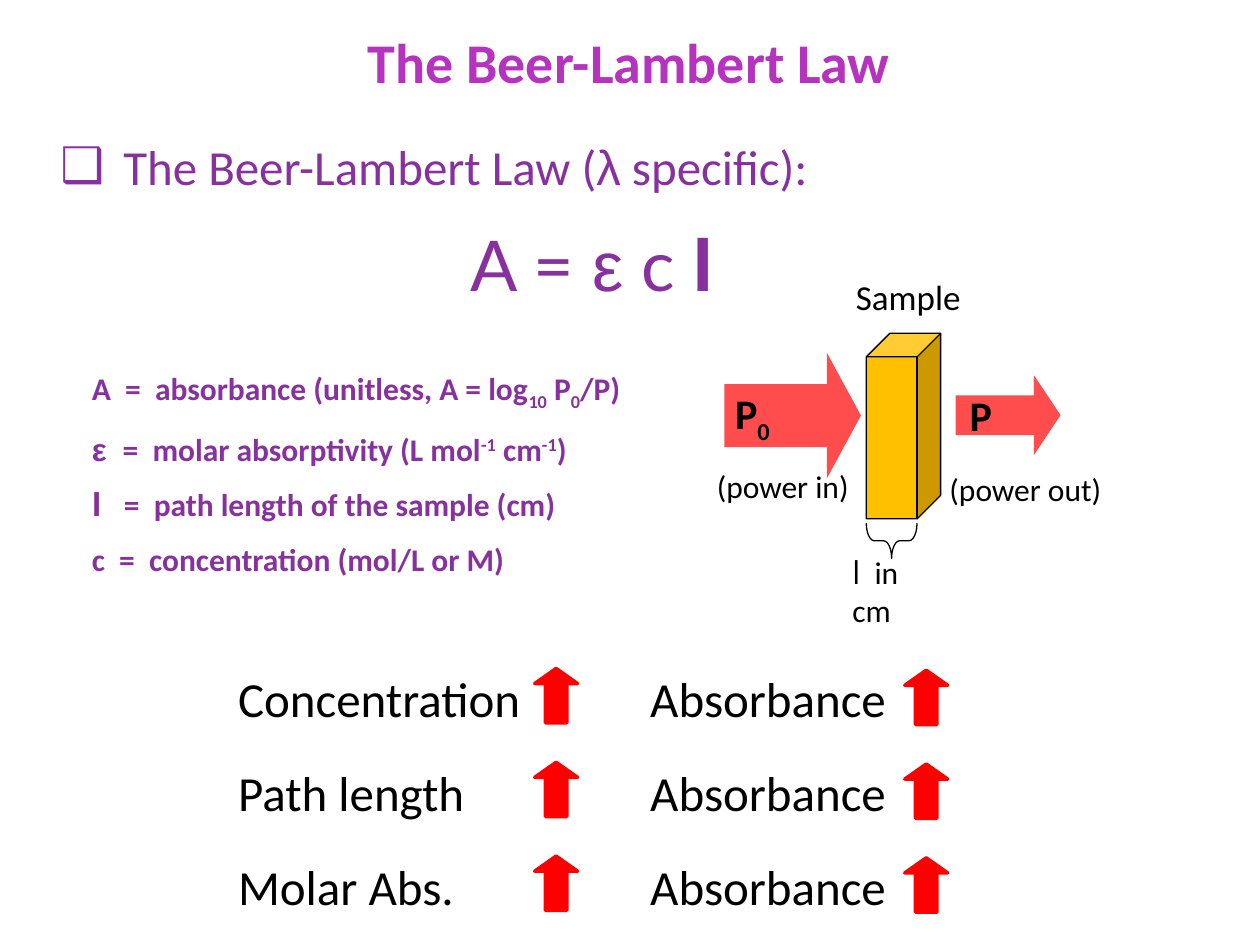
"""Build a slide that explains the Beer-Lambert law."""
from lxml import etree
from pptx import Presentation
from pptx.dml.color import RGBColor
from pptx.enum.shapes import MSO_SHAPE
from pptx.enum.text import MSO_ANCHOR, PP_ALIGN
from pptx.oxml.ns import qn
from pptx.util import Pt

LEFT, CENTER = PP_ALIGN.LEFT, PP_ALIGN.CENTER
TOP = MSO_ANCHOR.TOP
RIGHT_ARROW, DOWN_ARROW = MSO_SHAPE.RIGHT_ARROW, MSO_SHAPE.DOWN_ARROW
CUBE, LEFT_BRACE = MSO_SHAPE.CUBE, MSO_SHAPE.LEFT_BRACE
COLORS = {"title": "B533BF", "law": "87319F", "ink": "000000",
          "red": "FF0000", "sample": "FFC000"}

SUB, SUP = {"baseline": -25}, {"baseline": 30}
GREEK, SCRIPT = {"font": "Arial"}, {"font": "Open Sans"}

TITLE = "The Beer-Lambert Law"
HEADING = ["The Beer-Lambert Law (", ("λ", GREEK), " specific):"]
FORMULA = ["A = ", ("ε", GREEK), " c ", ("l ", {"font": "Open Sans", "bold": True})]
DEFINITIONS = [
    ["A  =  absorbance (unitless, A = log", ("10", SUB), " P", ("0", SUB), "/P) "],
    [("ε ", GREEK), " =  molar absorptivity (L mol", ("-1", SUP), " cm", ("-1", SUP), ")"],
    [("l ", SCRIPT), "  =  path length of the sample (cm)"],
    ["c  =  concentration (mol/L or M)"],
]
CAUSES = ["Concentration", "Path length", "Molar Abs."]
EFFECT = "Absorbance"
BEAM_LABELS = [
    ([["P", ("0", SUB)]], (413, 218, 35.5, 55.5), {"size": 24, "bold": True}),
    ([["P"]], (547, 219, 27.5, 55.5), {"size": 24, "bold": True}),
    ([["(power in)"]], (402.5, 263.5, 90.5, 29), {"size": 18}),
    ([["(power out)"]], (535.5, 265, 102.5, 29), {"size": 18}),
]
BEAM_ARROWS = [((414, 201.5, 78, 72), 0.271), ((546, 214.5, 60, 45.5), 0.333)]

prs = Presentation()
prs.slide_width, prs.slide_height = Pt(720), Pt(540)
slide = prs.slides.add_slide(prs.slide_layouts[5])


def place(part, box):
    part.left, part.top, part.width, part.height = map(Pt, box)


def write(paragraphs, box, target=None, size=18, color="ink", font="Calibri", bold=False,
          align=LEFT, wrap=True, inset=True, after=0, indent=None, bullet=None):
    """Write paragraphs made of plain or individually formatted runs."""
    target = target or slide.shapes.add_textbox(0, 0, 0, 0)
    place(target, box)
    frame = target.text_frame
    frame.word_wrap, frame.vertical_anchor = wrap, TOP
    if not inset:
        frame.margin_left = frame.margin_right = frame.margin_top = frame.margin_bottom = 0
    for index, runs in enumerate(paragraphs):
        paragraph = frame.add_paragraph() if index else frame.paragraphs[0]
        paragraph.alignment, paragraph.space_after = align, Pt(after)
        properties = paragraph._p.get_or_add_pPr()
        if indent:
            properties.set("marL", str(Pt(indent[0])))
            properties.set("indent", str(Pt(indent[1])))
        if bullet:
            etree.SubElement(properties, qn("a:buFont")).set("typeface", "Arial")
            etree.SubElement(properties, qn("a:buChar")).set("char", bullet)
        for item in runs:
            text, change = item if isinstance(item, tuple) else (item, {})
            run = paragraph.add_run()
            run.text = text
            run.font.name = change.get("font", font)
            run.font.size = Pt(size)
            run.font.bold = change.get("bold", bold)
            run.font.color.rgb = RGBColor.from_string(COLORS[color])
            if "baseline" in change:
                run._r.get_or_add_rPr().set("baseline", str(change["baseline"] * 1000))


def draw(kind, box, adjust, fill=None, line=None, weight=0, rotation=0, alpha=None):
    """Draw a preset shape."""
    part = slide.shapes.add_shape(kind, 0, 0, 0, 0)
    place(part, box)
    part.shadow.inherit = False
    part.rotation = rotation
    for index, value in enumerate(adjust):
        part.adjustments[index] = value
    if fill:
        part.fill.solid()
        part.fill.fore_color.rgb = RGBColor.from_string(COLORS[fill])
    else:
        part.fill.background()
    if line:
        part.line.color.rgb = RGBColor.from_string(COLORS[line])
        part.line.width = Pt(weight)
    else:
        part.line.fill.background()
    if alpha:
        color = part.fill._xPr.find(qn("a:solidFill"))[0]
        etree.SubElement(color, qn("a:alpha")).set("val", str(alpha * 1000))


write([[TITLE]], (201.5, 12, 316, 46), target=slide.shapes.title, size=32,
      color="title", bold=True, align=CENTER, wrap=False)
write([HEADING], (34.5, 78, 648, 40), size=28, color="law", inset=False,
      indent=(36, -36), bullet="❑")
write(DEFINITIONS, (16.5, 211, 363.5, 130), color="law", bold=True, inset=False,
      after=10, indent=(58.5, -22.5))
write([FORMULA], (262, 123, 177, 55.5), size=40, color="law", font="Lato")

for box, head in BEAM_ARROWS:
    draw(RIGHT_ARROW, box, (0.5, head), fill="red", alpha=70)
draw(CUBE, (495, 190.5, 42.5, 106), (0.316,), fill="sample", line="ink")
draw(LEFT_BRACE, (499.5, 294.5, 20, 29), (0.231, 0.5), line="ink", weight=0.75, rotation=270)
for paragraphs, box, style in BEAM_LABELS:
    write(paragraphs, box, wrap=False, **style)
write([["Sample"]], (471.5, 154, 95, 31.5), size=20, align=CENTER)
write([[("l", SCRIPT), "  in cm"]], (480, 312.5, 64, 29))

ROW_TOP, ROW_PITCH = 378.5, 53.6
for row, cause in enumerate(CAUSES):
    top = ROW_TOP + row * ROW_PITCH
    for label, left, width, arrow_left, drop in (
            (cause, 129, 191.5, 305.5, 3.5), (EFFECT, 364.5, 160.5, 517, 4.5)):
        write([[label]], (left, top, width, 41), size=28)
        draw(DOWN_ARROW, (arrow_left, top + drop, 24.5, 31), (0.5, 0.351),
             fill="red", line="red", weight=2, rotation=180)

prs.save("out.pptx")
